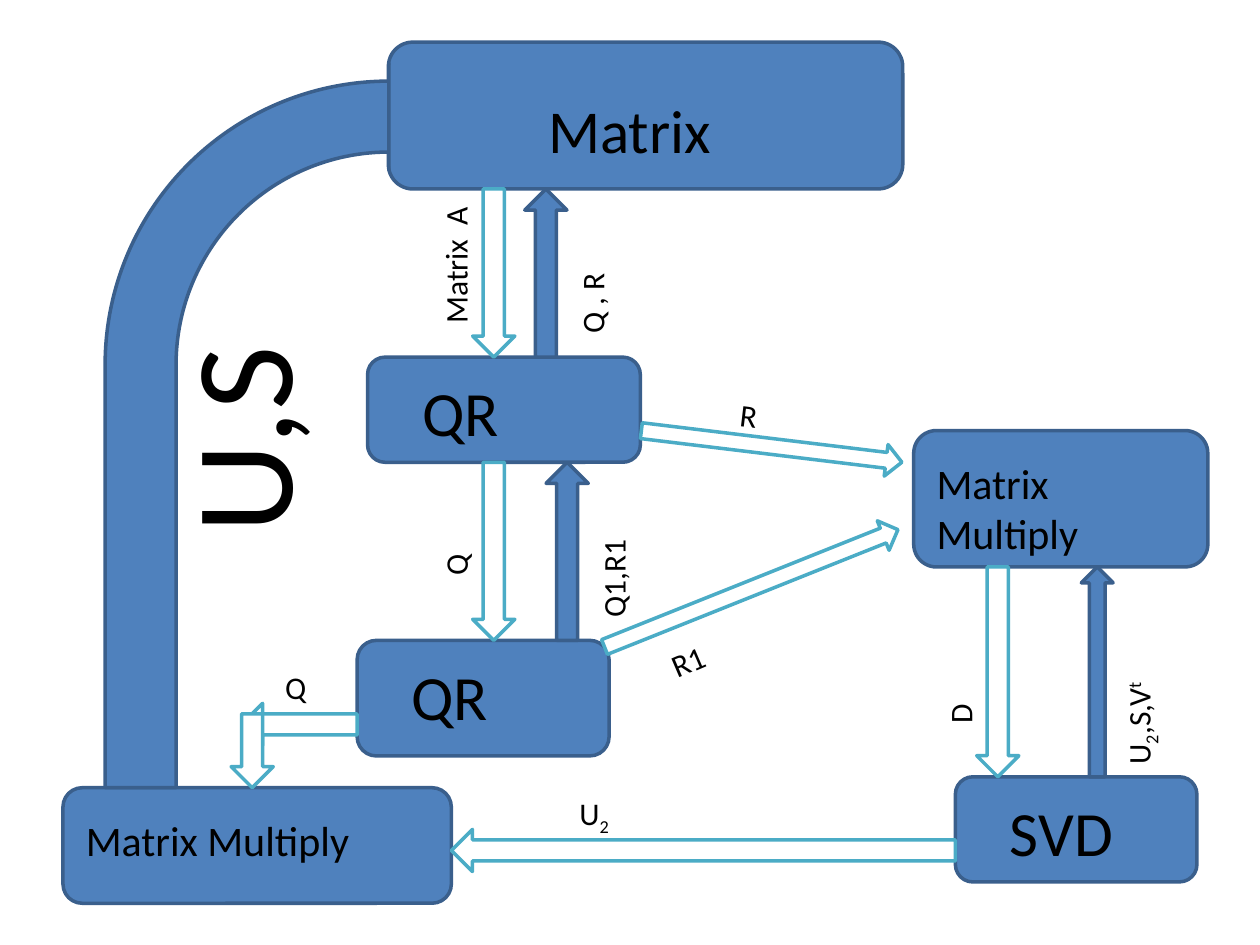
import pptx
import pptx.util
import pptx.dml.color
import pptx.enum.shapes

Cm, Pt = pptx.util.Cm, pptx.util.Pt
MSO = pptx.enum.shapes.MSO_SHAPE

BLUE = ("4F81BD", "3A5F8C")
OPEN = ("FFFFFF", "4BACC6")

BOXES = {
    "matrix": (7.83, 0.85, 10.37, 2.96),
    "first_qr": (7.41, 7.2, 5.5, 2.12),
    "second_qr": (7.2, 12.91, 5.08, 2.33),
    "right_multiply": (18.42, 8.68, 5.93, 2.75),
    "svd": (19.26, 15.66, 4.87, 2.12),
    "left_multiply": (1.27, 15.88, 7.83, 2.33),
}

VERTICAL_ARROWS = [
    ("matrix", "first_qr", MSO.DOWN_ARROW, 9.53, 0.85, OPEN),
    ("matrix", "first_qr", MSO.UP_ARROW, 10.58, 0.85, BLUE),
    ("first_qr", "second_qr", MSO.DOWN_ARROW, 9.53, 0.85, OPEN),
    ("first_qr", "second_qr", MSO.UP_ARROW, 11.01, 0.85, BLUE),
    ("right_multiply", "svd", MSO.DOWN_ARROW, 19.69, 0.85, OPEN),
    ("right_multiply", "svd", MSO.UP_ARROW, 21.8, 0.64, BLUE),
]

OTHER_ARROWS = [
    (MSO.RIGHT_ARROW, (11.96, 11.54, 6.37, 0.64), 338.2),
    (MSO.RIGHT_ARROW, (12.91, 8.68, 5.29, 0.64), 6.9),
    (MSO.LEFT_ARROW, (9.1, 16.72, 10.16, 0.85), 0),
    (MSO.LEFT_ARROW, (4.87, 14.18, 2.33, 0.85), 0),
    (MSO.DOWN_ARROW, (4.66, 14.39, 0.85, 1.49), 0),
]

RETURN_PATH = (2.12, 1.27, 5.72, 14.61)
RETURN_BEND = (0.25, 0.189, 0, 1)

SUB, SUPER = -25, 30
LABELS = [
    ([("Matrix", SUPER)], 60, (10.8, 1.48, 9.95, 1.96), 0),
    (["Matrix  A"], 18, (7.59, 4.67, 3.18, 1.02), 270),
    (["QR"], 36, (8.26, 7.41, 5.08, 1.8), 0),
    (["Q , R"], 18, (9.63, 4.12, 4.65, 1.06), 270),
    (["QR"], 36, (8.04, 13.13, 4.23, 1.8), 0),
    (["Q"], 18, (6.96, 9.12, 4.45, 1.02), 270),
    (["Q1,R1"], 18, (10.27, 10.06, 4.23, 1.06), 270),
    (["Matrix Multiply"], 24, (18.63, 9.1, 5.29, 2.31), 0),
    (["R"], 18, (14.66, 8.15, 5.51, 1.02), 6.9),
    (["R1"], 18, (13.08, 11.79, 6.35, 1.06), 336.8),
    (["SVD"], 36, (20.11, 15.88, 4.23, 1.8), 0),
    (["D"], 18, (18.21, 13.13, 2.33, 1.06), 270),
    (["U", ("2", SUB), ",S,V", ("t", SUPER)], 18, (20.83, 13.03, 4.23, 1.02), 270),
    (["Matrix Multiply"], 24, (1.48, 16.3, 7.2, 1.27), 0),
    (["Q"], 18, (5.5, 13.34, 4.02, 1.06), 0),
    (["U", ("2", SUB)], 18, (11.43, 15.88, 6.35, 1.02), 0),
    (["U,S"], 80, (0.99, 5.36, 7.62, 3.68), 270),
]


def rgb(value):
    return pptx.dml.color.RGBColor.from_string(value)


def add_shape(s, kind, place, colours, rotation=0):
    sp = s.shapes.add_shape(kind, *map(Cm, place))
    fill, line = colours
    sp.rotation = rotation
    sp.shadow.inherit = False
    sp.fill.solid()
    sp.fill.fore_color.rgb = rgb(fill)
    sp.line.color.rgb = rgb(line)
    sp.line.width = Pt(2)
    return sp


def add_label(s, runs, size, place, rotation):
    sp = s.shapes.add_textbox(*map(Cm, place))
    sp.rotation = rotation
    tf = sp.text_frame
    tf.word_wrap = True
    p = tf.paragraphs[0]
    p.font.name = "Calibri"
    p.font.size = Pt(size)
    p.font.color.rgb = rgb("000000")
    for run in runs:
        text, shift = (run, 0) if isinstance(run, str) else run
        r = p.add_run()
        r.text = text
        if shift:
            r.font._element.set("baseline", str(shift * 1000))


def main():
    prs = pptx.Presentation()
    prs.slide_width, prs.slide_height = Cm(25.4), Cm(19.05)
    s = prs.slides.add_slide(prs.slide_layouts[6])

    for place in BOXES.values():
        add_shape(s, MSO.ROUNDED_RECTANGLE, place, BLUE)

    for upper, lower, kind, left, width, colours in VERTICAL_ARROWS:
        top = BOXES[upper][1] + BOXES[upper][3]
        height = BOXES[lower][1] - top
        add_shape(s, kind, (left, top, width, height), colours)

    for kind, place, rotation in OTHER_ARROWS:
        add_shape(s, kind, place, OPEN, rotation)

    sp = add_shape(s, MSO.BENT_ARROW, RETURN_PATH, BLUE)
    for i, value in enumerate(RETURN_BEND):
        sp.adjustments[i] = value

    for label in LABELS:
        add_label(s, *label)

    prs.save("out.pptx")


if __name__ == "__main__":
    main()
